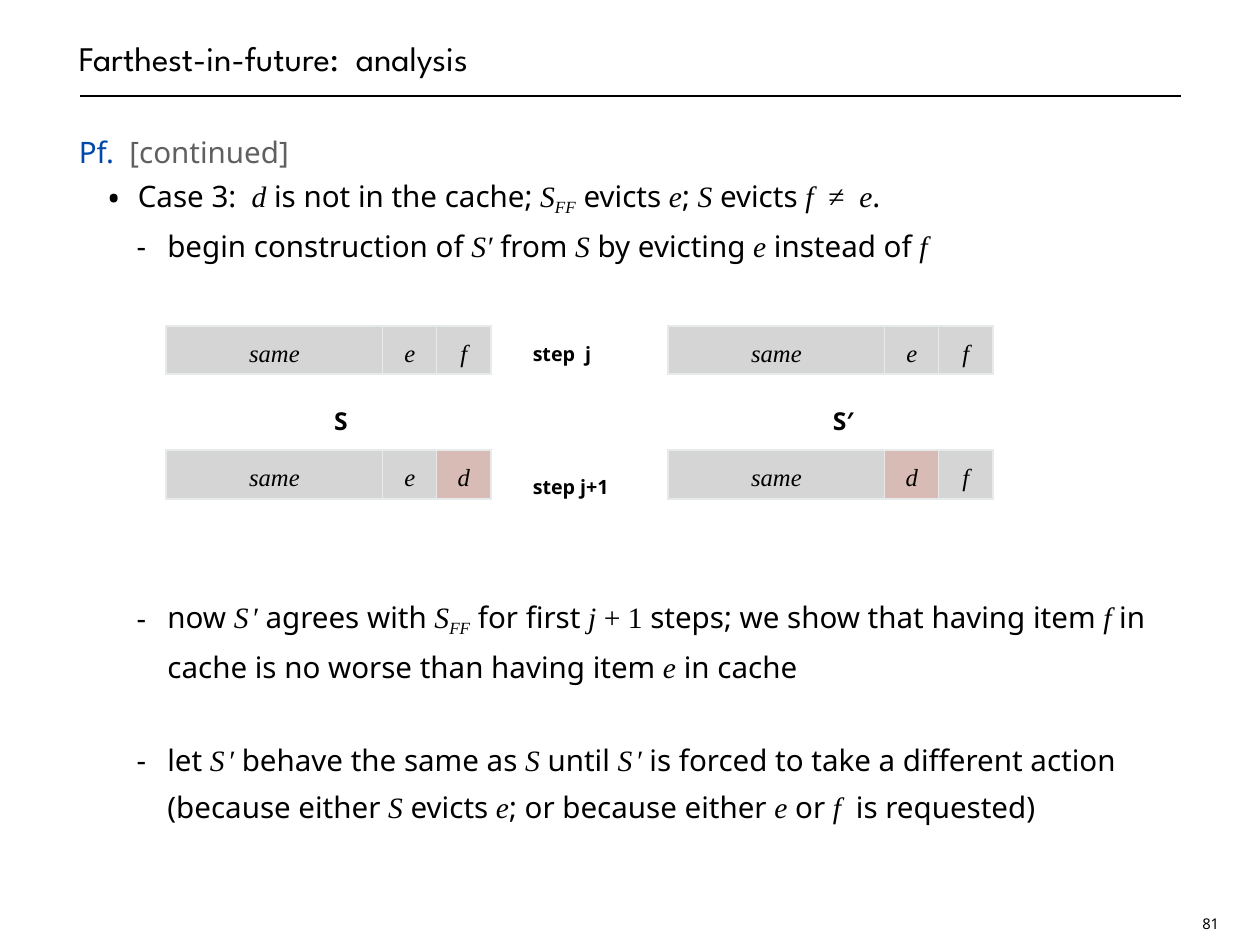
from functools import partial
from typing import NamedTuple

from lxml.etree import SubElement
from pptx import Presentation
from pptx.dml.color import RGBColor
from pptx.enum.shapes import MSO_CONNECTOR
from pptx.enum.text import MSO_ANCHOR, MSO_AUTO_SIZE, PP_ALIGN
from pptx.oxml.ns import qn
from pptx.util import Pt

BLACK = RGBColor(0x00, 0x00, 0x00)
BLUE = RGBColor(0x00, 0x48, 0xAA)
GRAY = RGBColor(0x60, 0x60, 0x60)
CELL = RGBColor(0xD5, 0xD5, 0xD5)
EDGE = RGBColor(0xE7, 0xEA, 0xEB)
RED = RGBColor(0x8D, 0x31, 0x24)
HEAD, SANS, SERIF = "League Spartan", "Noto Sans", "Times New Roman"
LEFT, WIDTH, LEAD = 64, 896, 38


class Run(NamedTuple):
    text: str
    font: str = SANS
    italic: bool = False
    color: RGBColor = BLACK
    bold: bool = False
    drop: int = 0
    gap: int = 0


Var = partial(Run, font=SERIF, italic=True)
Sym = partial(Run, font=SERIF)
Bold = partial(Run, bold=True)
S_FF = [Var("S"), Var("FF", drop=-19000)]
PRIME = [Var("S", gap=240), Var("′")]

CASE = [
    Run("Case 3:  "), Var("d"), Run(" is not in the cache; "), *S_FF,
    Run(" evicts "), Var("e"), Run("; "), Var("S"), Run(" evicts "),
    Var("f"), Sym("  ≠  "), Var("e"), Run("."),
]
BEGIN = [
    Run("begin construction of "), Var("S′"), Run(" from "), Var("S"),
    Run(" by evicting "), Var("e"), Run(" instead of "), Var("f"),
]
AGREE = [
    Run("now "), *PRIME, Run(" agrees with "), *S_FF, Run(" for first "),
    Var("j "), Sym("+ 1"), Run(" steps; we show that having item "),
    Var("f"), Run(" in cache is no worse than having item "), Var("e"),
    Run(" in cache"),
]
ACTION = [
    Run("let "), *PRIME, Run(" behave the same as "), Var("S"),
    Run(" until "), *PRIME, Run(" is forced to take a different action"),
    None,
    Run("(because either "), Var("S"), Run(" evicts "), Var("e"),
    Run("; or because either "), Var("e"), Run(" or "), Var("f  "),
    Run("is requested)"),
]


def write(para, items, size, lead):
    """Add runs to a paragraph; None stands for a line break."""
    para.line_spacing = lead
    for item in items:
        if item is None:
            para.add_line_break()
            continue
        run = para.add_run()
        run.text = item.text
        font = run.font
        font.name, font.size = item.font, Pt(size)
        font.bold, font.italic = item.bold, item.italic
        font.color.rgb = item.color
        props = run._r.get_or_add_rPr()
        if item.drop:
            props.set("baseline", str(item.drop))
        if item.gap:
            props.set("spc", str(item.gap))


def bullet(para, mark, left, first, scale=100):
    props = para._p.get_or_add_pPr()
    props.set("marL", str(Pt(left)))
    props.set("indent", str(Pt(first)))
    SubElement(props, qn("a:buSzPct"), val=str(scale * 1000))
    SubElement(props, qn("a:buFont"), typeface=SANS)
    SubElement(props, qn("a:buChar"), char=mark)


def add_box(slide, x, y, w, h, inset=0):
    frame = slide.shapes.add_textbox(Pt(x), Pt(y), Pt(w), Pt(h)).text_frame
    frame.word_wrap = True
    frame.margin_left = frame.margin_right = Pt(inset)
    frame.margin_top = frame.margin_bottom = Pt(inset)
    return frame


def add_label(slide, x, y, w, h, item, size, lead=1.3, inset=0,
              align=PP_ALIGN.CENTER):
    frame = add_box(slide, x, y, w, h, inset)
    frame.word_wrap = False
    frame.auto_size = MSO_AUTO_SIZE.SHAPE_TO_FIT_TEXT
    para = frame.paragraphs[0]
    para.alignment = align
    write(para, [item], size, lead)


def add_rule(slide, x, y, end):
    rule = slide.shapes.add_connector(
        MSO_CONNECTOR.STRAIGHT, Pt(x), Pt(y), Pt(end), Pt(y))
    rule.line.color.rgb = BLACK
    rule.line.width = Pt(1)
    SubElement(rule._element.spPr, qn("a:effectLst"))


def add_edge(cell, side, width):
    line = SubElement(cell._tc.get_or_add_tcPr(), qn("a:ln" + side),
                      w=str(Pt(width)))
    fill = SubElement(line, qn("a:solidFill"))
    SubElement(fill, qn("a:srgbClr"), val=str(EDGE))


def paint(cell, fresh):
    """Fill a cell; a fresh item gets a light red."""
    cell.fill.solid()
    cell.fill.fore_color.rgb = RED if fresh else CELL
    if fresh:
        fill = cell._tc.tcPr.find(qn("a:solidFill"))
        SubElement(fill[0], qn("a:alpha"), val="33000")


def add_cache(slide, x, y, items):
    widths = [176, 44, 44]
    table = slide.shapes.add_table(
        1, len(items), Pt(x), Pt(y), Pt(sum(widths)), Pt(39)).table
    table.first_row = table.horz_banding = False
    table.rows[0].height = Pt(39)
    last = len(items) - 1
    for i, (item, width) in enumerate(zip(items, widths)):
        table.columns[i].width = Pt(width)
        cell = table.cell(0, i)
        cell.vertical_anchor = MSO_ANCHOR.MIDDLE
        cell.margin_left = cell.margin_right = Pt(4)
        cell.margin_top = cell.margin_bottom = Pt(4)
        add_edge(cell, "L", 2 if i == 0 else 1)
        add_edge(cell, "R", 2 if i == last else 1)
        add_edge(cell, "T", 2)
        add_edge(cell, "B", 2)
        paint(cell, item == "d")
        para = cell.text_frame.paragraphs[0]
        para.alignment = PP_ALIGN.CENTER
        write(para, [Var(item)], 20, 1.3)


def add_proof(slide):
    frame = add_box(slide, LEFT, 100, WIDTH, 644)
    intro = [Run("Pf.  ", color=BLUE), Run("[continued]", color=GRAY)]
    write(frame.paragraphs[0], intro, 24, Pt(LEAD))
    case = frame.add_paragraph()
    bullet(case, "•", 48, -25, 120)
    write(case, CASE, 24, Pt(LEAD))
    for items, skip in [(BEGIN, 0), (AGREE, 7), (ACTION, 1)]:
        para = frame.add_paragraph()
        bullet(para, "-", 72, -25)
        para.space_before = Pt(skip * LEAD)
        write(para, items, 24, Pt(LEAD))


def main():
    deck = Presentation()
    deck.slide_width, deck.slide_height = Pt(1024), Pt(768)
    slide = deck.slides.add_slide(deck.slide_layouts[6])

    add_rule(slide, 65, 78, 960)
    title = add_box(slide, LEFT, 0, WIDTH, 64)
    title.vertical_anchor = MSO_ANCHOR.BOTTOM
    write(title.paragraphs[0],
          [Run("Farthest-in-future:  analysis", HEAD)], 28, Pt(LEAD))
    add_proof(slide)
    add_label(slide, 973, 741, 22, 17, Run("81"), 12, Pt(14), 3)

    for text, y, w in [("step  j", 272, 58), ("step j+1", 380, 70)]:
        add_label(slide, 433, y, w, 18, Bold(text), 16, align=PP_ALIGN.LEFT)
    for text, x, w in [("S", 271, 12), ("S′", 676, 19)]:
        add_label(slide, x, 323, w, 23, Bold(text), 20)
    for x, after in [(135, "ed"), (543, "df")]:
        for y, pair in [(265, "ef"), (366, after)]:
            add_cache(slide, x, y, ["same", *pair])

    deck.save("out.pptx")


if __name__ == "__main__":
    main()
